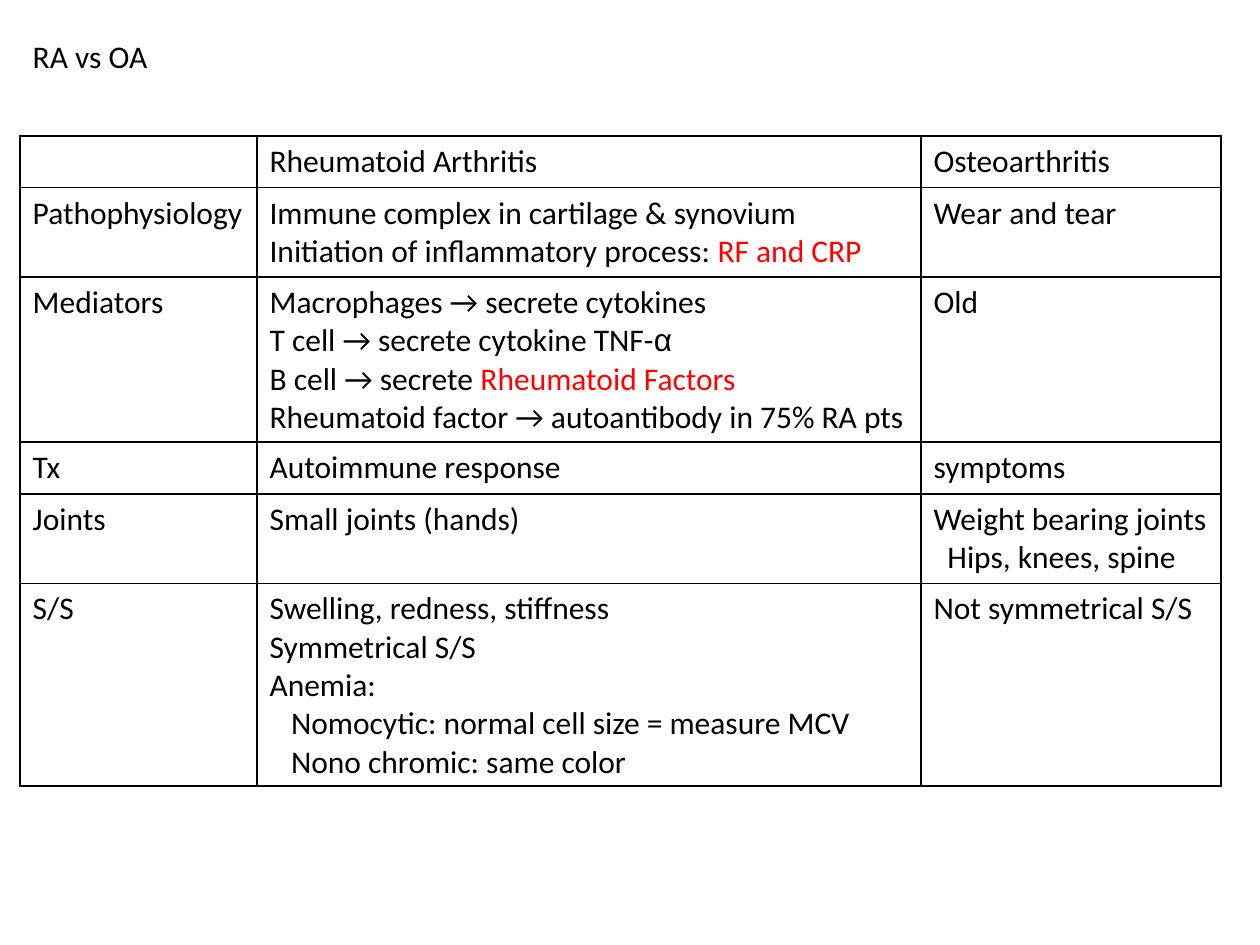
import pptx
import pptx.dml.color
import pptx.enum.text
import pptx.oxml.ns
import pptx.util
from lxml import etree
from pptx.util import Inches

BLACK = pptx.dml.color.RGBColor(0x00, 0x00, 0x00)
RED = pptx.dml.color.RGBColor(0xFF, 0x00, 0x00)

BODY = {"name": "Calibri", "size": pptx.util.Pt(18), "bold": False, "color": BLACK}
KEY = {**BODY, "color": RED}
GREEK = {**BODY, "name": "Arial"}

COLUMN_WIDTHS = [1.88, 5.27, 2.38]
ROW_HEIGHT, EXTRA_LINE = 0.41, 0.3

# A cell is a list of lines; a line is a list of (text, format) runs,
# and a line given as (indent, text) is indented by that many inches.
ROWS = [
    [[], ["Rheumatoid Arthritis"], ["Osteoarthritis"]],
    [["Pathophysiology"],
     ["Immune complex in cartilage & synovium",
      [("Initiation of inflammatory process: ", BODY), ("RF and CRP", KEY)]],
     ["Wear and tear"]],
    [["Mediators"],
     ["Macrophages → secrete cytokines",
      [("T cell → secrete cytokine TNF-", BODY), ("α", GREEK)],
      [("B cell → secrete ", BODY), ("Rheumatoid Factors", KEY)],
      "Rheumatoid factor → autoantibody in 75% RA pts"],
     ["Old"]],
    [["Tx"], ["Autoimmune response"], ["symptoms"]],
    [["Joints"], ["Small joints (hands)"],
     ["Weight bearing joints", (0.11, "Hips, knees, spine")]],
    [["S/S"],
     ["Swelling, redness, stiffness", "Symmetrical S/S", "Anemia:",
      (0.17, "Nomocytic: normal cell size = measure MCV"),
      (0.17, "Nono chromic: same color")],
     ["Not symmetrical S/S"]],
]


def format_font(font, values):
    for name, value in values.items():
        if name == "color":
            font.color.rgb = value
        else:
            setattr(font, name, value)


def write_line(paragraph, line):
    if isinstance(line, tuple):
        indent, line = line
        paragraph._p.get_or_add_pPr().set("marL", str(Inches(indent)))
    runs = [(line, BODY)] if isinstance(line, str) else line
    for text, values in runs:
        run = paragraph.add_run()
        run.text = text
        format_font(run.font, values)


def write_lines(text_frame, lines):
    for index, line in enumerate(lines):
        paragraph = text_frame.add_paragraph() if index else text_frame.paragraphs[0]
        write_line(paragraph, line)


def outline_cell(cell):
    properties = cell._tc.get_or_add_tcPr()
    for side in ("lnL", "lnR", "lnT", "lnB"):
        border = etree.SubElement(properties, pptx.oxml.ns.qn(f"a:{side}"),
                                  w=str(pptx.util.Pt(1)))
        fill = etree.SubElement(border, pptx.oxml.ns.qn("a:solidFill"))
        etree.SubElement(fill, pptx.oxml.ns.qn("a:srgbClr"), val=str(BLACK))
    cell.fill.background()


def place_title(slide, left, top, width, height):
    title = slide.shapes.title
    title.left, title.top, title.width, title.height = left, top, width, height
    frame_format = {
        "word_wrap": False,
        "auto_size": pptx.enum.text.MSO_AUTO_SIZE.SHAPE_TO_FIT_TEXT,
        "vertical_anchor": pptx.enum.text.MSO_ANCHOR.TOP,
    }
    for name, value in frame_format.items():
        setattr(title.text_frame, name, value)
    write_lines(title.text_frame, ["RA vs OA"])
    title.text_frame.paragraphs[0].alignment = pptx.enum.text.PP_ALIGN.LEFT


def place_comparison_table(slide, left, top, width, height):
    table = slide.shapes.add_table(len(ROWS), len(COLUMN_WIDTHS),
                                   left, top, width, height).table
    table.first_row = table.horz_banding = False
    for column, column_width in zip(table.columns, COLUMN_WIDTHS):
        column.width = Inches(column_width)
    for row, contents in zip(table.rows, ROWS):
        line_count = max(len(lines) for lines in contents)
        row.height = Inches(ROW_HEIGHT + EXTRA_LINE * (line_count - 1))
        for cell, lines in zip(row.cells, contents):
            write_lines(cell.text_frame, lines)
            outline_cell(cell)


def main():
    presentation = pptx.Presentation()
    presentation.slide_width, presentation.slide_height = Inches(10), Inches(7.5)
    slide = presentation.slides.add_slide(presentation.slide_layouts[5])
    # Comparison of the two conditions
    place_comparison_table(slide, Inches(0.16), Inches(1.08),
                           Inches(sum(COLUMN_WIDTHS)), Inches(5.11))
    # Heading
    place_title(slide, Inches(0.16), Inches(0.24), Inches(1.13), Inches(0.4))
    presentation.save("out.pptx")


if __name__ == "__main__":
    main()
